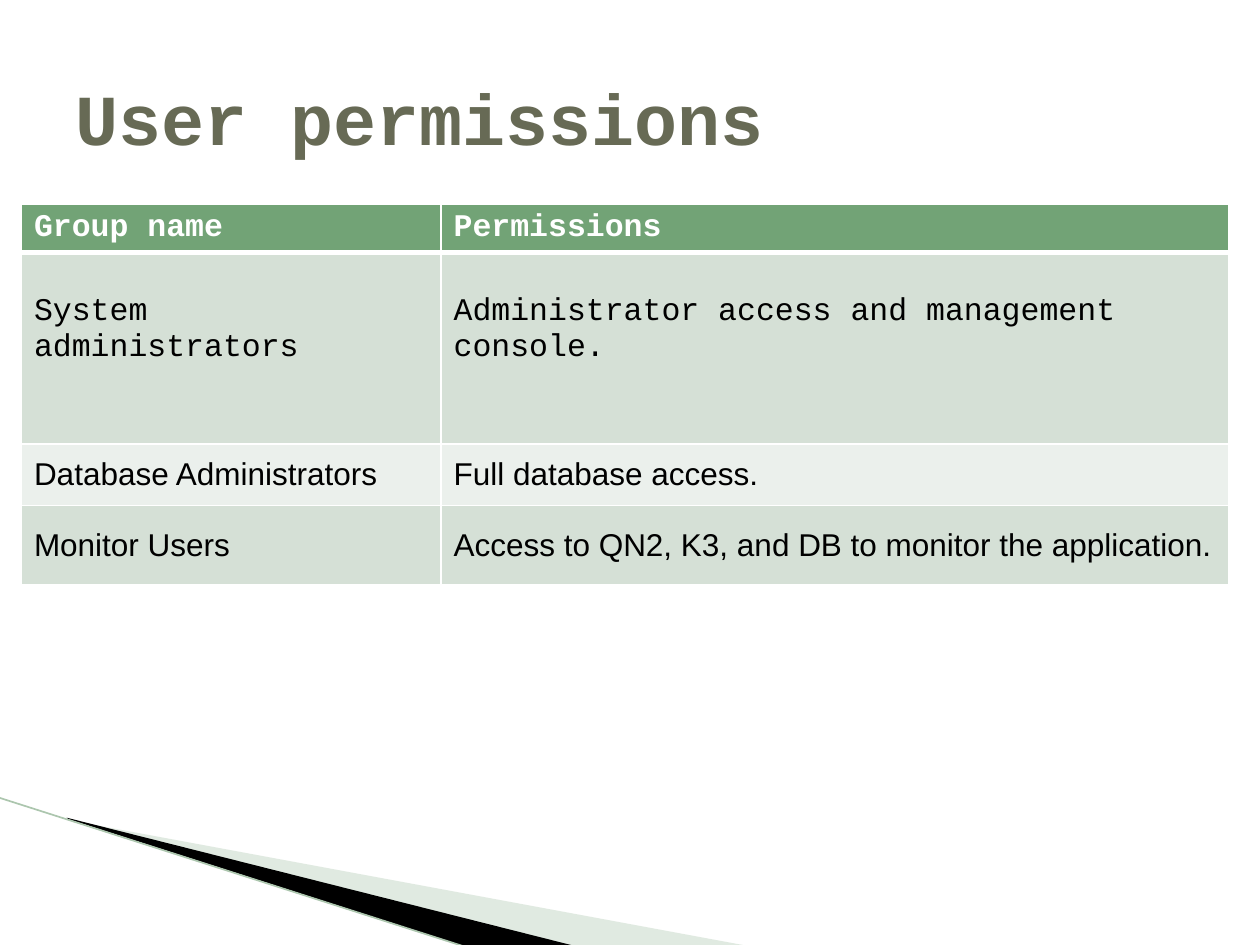
from dataclasses import dataclass

from lxml.etree import SubElement
from pptx import Presentation
from pptx.dml.color import RGBColor
from pptx.enum.shapes import MSO_CONNECTOR as Connector
from pptx.enum.text import MSO_ANCHOR as Anchor
from pptx.oxml.ns import qn
from pptx.util import Inches, Pt


@dataclass(frozen=True)
class Theme:
    title: str = "676A55"
    header: str = "72A376"
    band_dark: str = "D5E0D6"
    band_light: str = "EBF0EC"
    swoosh: str = "B3CBB5"
    edge: str = "ACC6AE"
    white: str = "FFFFFF"
    black: str = "000000"
    mono: str = "Courier New"
    sans: str = "Arial"
    title_size: float = 41
    body_size: float = 18


THEME = Theme()
WIDTH, HEIGHT = 10, 7.5
COLUMNS = (3.33, 6.25)
ROW_HEIGHTS = (0.37, 1.52, 0.49, 0.63)
PERMISSIONS = (
    ("Group name", "Permissions"),
    ("System administrators", "Administrator access and management console."),
    ("Database Administrators", "Full database access."),
    ("Monitor Users", "Access to QN2, K3, and DB to monitor the application."),
)
# One style per row: fill, text format, anchor, top and bottom inset
ROW_STYLES = (
    (THEME.header, dict(color=THEME.white, bold=True), Anchor.TOP, 0.05),
    (THEME.band_dark, dict(), Anchor.TOP, 0.33),
    (THEME.band_light, dict(font=THEME.sans), Anchor.MIDDLE, 0.1),
    (THEME.band_dark, dict(font=THEME.sans), Anchor.MIDDLE, 0.1),
)


def rgb(color):
    return RGBColor.from_string(color)


def write(frame, text, font=THEME.mono, size=THEME.body_size,
          color=THEME.black, bold=False):
    frame.word_wrap = True
    run = frame.paragraphs[0].add_run()
    run.text = text
    run.font.name = font
    run.font.size = Pt(size)
    run.font.bold = bold
    run.font.color.rgb = rgb(color)


def add_wedge(slide, points, color, opacity=100):
    start, *rest = [(Inches(x), Inches(y)) for x, y in points]
    builder = slide.shapes.build_freeform(*start)
    builder.add_line_segments(rest, close=True)
    wedge = builder.convert_to_shape()
    wedge.shadow.inherit = False
    wedge.line.fill.background()
    wedge.fill.solid()
    wedge.fill.fore_color.rgb = rgb(color)
    if opacity < 100:
        tint = wedge._element.spPr.find(qn("a:solidFill"))[0]
        SubElement(tint, qn("a:alpha"), val=str(opacity * 1000))


def add_edge(slide, start, end, color, weight):
    edge = slide.shapes.add_connector(
        Connector.STRAIGHT, *(Inches(v) for v in (*start, *end)))
    edge.line.color.rgb = rgb(color)
    edge.line.width = Pt(weight)
    SubElement(edge._element.spPr, qn("a:effectLst"))


def set_borders(cell, **weights):
    properties = cell._tc.get_or_add_tcPr()
    for side in "LRTB":
        border = SubElement(properties, qn(f"a:ln{side}"),
                            w=str(Pt(weights.get(side, 1))))
        fill = SubElement(border, qn("a:solidFill"))
        SubElement(fill, qn("a:srgbClr"), val=THEME.white)


def add_permissions(slide, left, top):
    table = slide.shapes.add_table(
        len(PERMISSIONS), len(COLUMNS), Inches(left), Inches(top),
        Inches(sum(COLUMNS)), Inches(sum(ROW_HEIGHTS))).table
    for column, width in zip(table.columns, COLUMNS):
        column.width = Inches(width)
    for index, (texts, style) in enumerate(zip(PERMISSIONS, ROW_STYLES)):
        fill, text_format, anchor, inset = style
        table.rows[index].height = Inches(ROW_HEIGHTS[index])
        for cell, text in zip(table.rows[index].cells, texts):
            # Borders come before the fill in the cell properties
            set_borders(cell, T=3 if index == 1 else 1, B=3 if index == 0 else 1)
            cell.fill.solid()
            cell.fill.fore_color.rgb = rgb(fill)
            cell.vertical_anchor = anchor
            cell.margin_left = cell.margin_right = Inches(0.1)
            cell.margin_top = Inches(inset)
            cell.margin_bottom = Inches(min(inset, 0.1))
            write(cell.text_frame, text, **text_format)


def add_title(slide, text):
    heading = slide.shapes.add_textbox(
        Inches(0.05 * WIDTH), Inches(0.04 * HEIGHT),
        Inches(0.9 * WIDTH), Inches(1.25))
    heading.text_frame.vertical_anchor = Anchor.MIDDLE
    write(heading.text_frame, text, size=THEME.title_size,
          color=THEME.title, bold=True)


def main():
    deck = Presentation()
    deck.slide_width, deck.slide_height = Inches(WIDTH), Inches(HEIGHT)
    slide = deck.slides.add_slide(deck.slide_layouts[6])

    # Corner decoration
    add_wedge(slide, [(0.55, 6.51), (5.95, 7.51), (4.56, 7.51), (0.55, 6.5)],
              THEME.swoosh, opacity=40)
    add_wedge(slide, [(0.53, 6.49), (4.57, 7.51), (3.72, 7.52), (0.54, 6.5)],
              THEME.black)
    add_edge(slide, (-0.01, 6.33), (3.71, 7.52), THEME.edge, 0.95)

    # Content
    add_permissions(slide, 0.17, 1.62)
    add_title(slide, "User permissions")
    deck.save("out.pptx")


if __name__ == "__main__":
    main()
